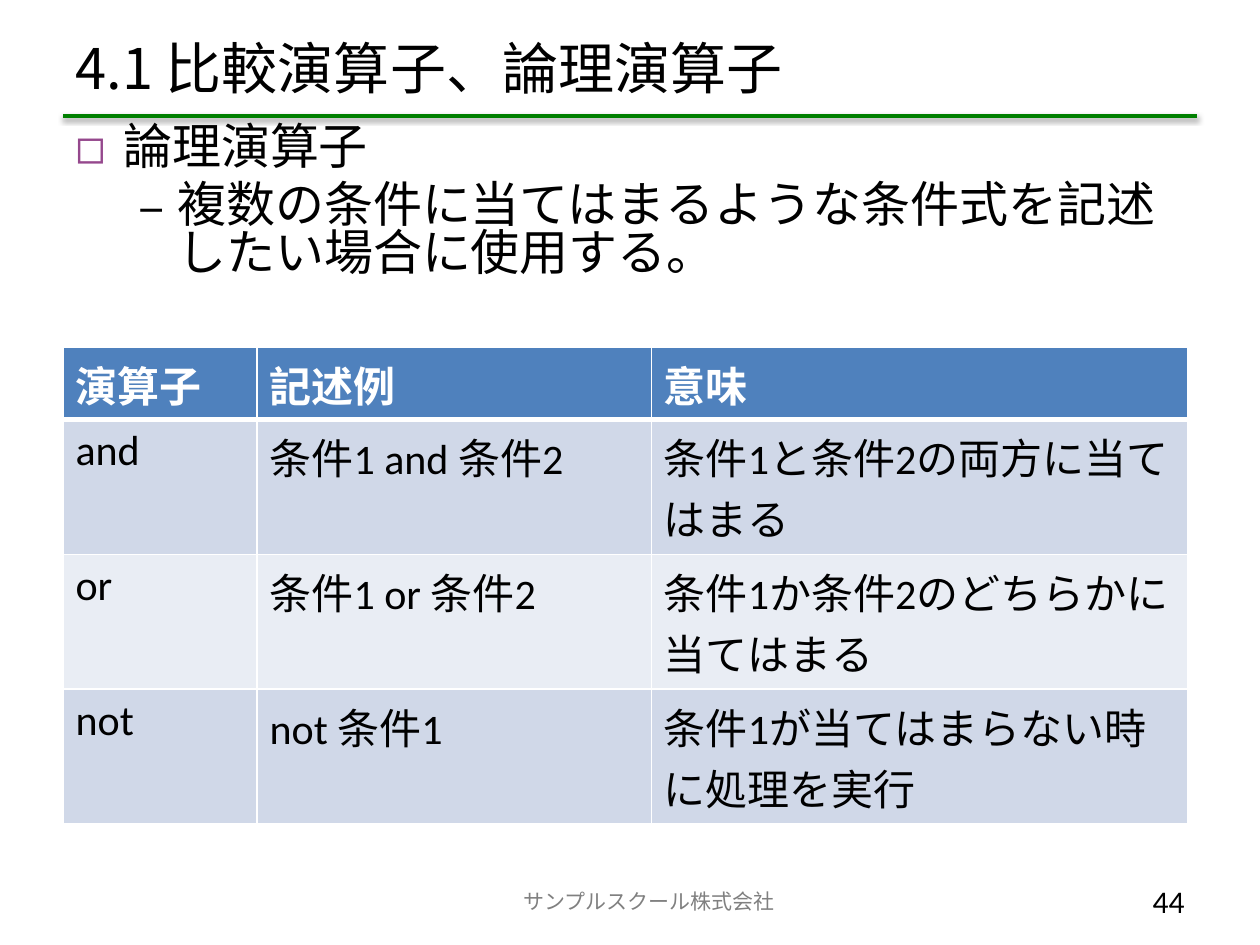
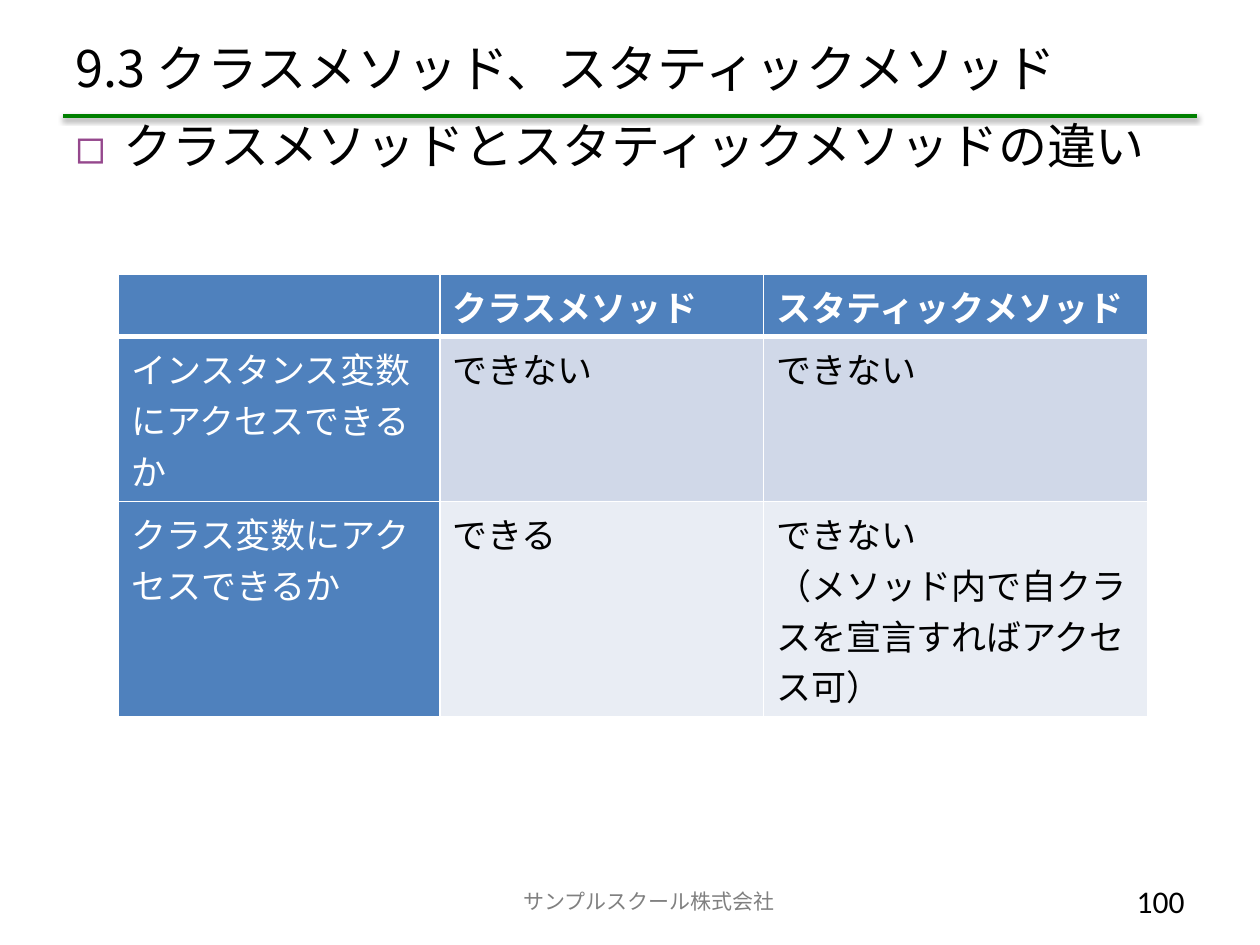
from lxml import etree
from pptx import Presentation
from pptx import util as u
from pptx.dml.color import RGBColor
from pptx.enum import shapes, text
from pptx.oxml import ns

INK = {"rule": "008000", "text": "000000", "mark": "95488D", "foot": "808080",
       "head": "4F81BD", "odd": "D0D8E8", "even": "E9EDF4", "white": "FFFFFF"}
SANS, CJK = "Calibri", "Noto Sans CJK JP"
COLS, ROWS = 100, 75
FIRM = "サンプルスクール株式会社"
LEVELS = [("◻", "mark", 3.8, 3.8), ("–", "text", 8.1, 3.1)]


def grid(*steps):
    """Turn grid steps, a hundredth of the slide width each, into lengths."""
    return [u.Inches(10 * step / COLS) for step in steps]


def node(root, tag, **attrs):
    """Append a drawing element with the given attributes."""
    item = etree.SubElement(root, ns.qn("a:" + tag))
    for key, val in attrs.items():
        item.set(key, str(val))
    return item


def paint(root, ink):
    """Append a solid fill."""
    return node(node(root, "solidFill"), "srgbClr", val=INK[ink])


def write(para, words, size, ink="text", face=CJK, bold=False):
    """Add one styled run to a paragraph."""
    run = para.add_run()
    run.text = words
    font = run.font
    font.size, font.bold, font.name = u.Pt(size), bold, face
    font.color.rgb = RGBColor.from_string(INK[ink])
    node(run._r.get_or_add_rPr(), "ea", typeface=CJK)


def frame(slide, box, anchor=text.MSO_ANCHOR.TOP):
    """Add a wrapping text box and return its text frame."""
    body = slide.shapes.add_textbox(*grid(*box)).text_frame
    body.word_wrap, body.vertical_anchor = True, anchor
    return body


def title(slide, words, size):
    """Place and fill the title placeholder."""
    shape = slide.shapes.title
    shape.left, shape.top, shape.width, shape.height = grid(5, 2, 90, 6.7)
    body = shape.text_frame
    body.auto_size = text.MSO_AUTO_SIZE.NONE
    body.vertical_anchor = text.MSO_ANCHOR.MIDDLE
    para = body.paragraphs[0]
    para.alignment = text.PP_ALIGN.LEFT
    write(para, words, size)


def rule(slide):
    """Draw the green rule with its soft shadow."""
    line = slide.shapes.add_connector(shapes.MSO_CONNECTOR.STRAIGHT, *grid(5, 9.2, 95, 9.2))
    line.line.width = u.Pt(2)
    line.line.color.rgb = RGBColor.from_string(INK["rule"])
    glow = node(node(line._element.spPr, "effectLst"), "outerShdw",
                blurRad=u.Pt(3.1), dist=u.Pt(1.6), dir=90 * 60000, rotWithShape=0)
    node(node(glow, "srgbClr", val=INK["text"]), "alpha", val=38000)


def label(slide, box, words, size, ink, align):
    """Add one line of footer text."""
    para = frame(slide, box, text.MSO_ANCHOR.MIDDLE).paragraphs[0]
    para.alignment = align
    write(para, words, size, ink, SANS)


def points(slide, *items):
    """Write bullets, each one level below the last."""
    body = frame(slide, (5, 9.5, 90, 53.8))
    for i, (words, (mark, ink, left, hang)) in enumerate(zip(items, LEVELS)):
        para = body.add_paragraph() if i else body.paragraphs[0]
        para.level, para.line_spacing, para.space_before = i, 0.82, u.Pt(5.6)
        props = para._p.get_or_add_pPr()
        props.set("marL", str(grid(left)[0]))
        props.set("indent", str(-grid(hang)[0]))
        node(node(props, "buClr"), "srgbClr", val=INK[ink])
        node(props, "buFont", typeface=CJK)
        node(props, "buChar", char=mark)
        write(para, words, 28)


def edge(cell, row):
    """Give a cell white borders, thick under the header row."""
    props = cell._tc.get_or_add_tcPr()
    wide = {"T": row == 1, "B": row == 0}
    for side in "LRTB":
        line = node(props, "ln" + side, w=u.Pt(3 if wide.get(side) else 1))
        paint(line, "white")


def table(slide, spot, cols, rows, data, size, side=False):
    """Add a banded table, with a filled first column if side is set."""
    box = (*spot, sum(cols), sum(rows))
    grille = slide.shapes.add_table(len(rows), len(cols), *grid(*box)).table
    for col, wide in zip(grille.columns, grid(*cols)):
        col.width = wide
    for r, (row, tall) in enumerate(zip(grille.rows, grid(*rows))):
        row.height = tall
        for c, (cell, words) in enumerate(zip(row.cells, data[r])):
            head = r == 0 or (side and c == 0)
            edge(cell, r)
            paint(cell._tc.tcPr, "head" if head else "odd" if r % 2 else "even")
            for i, part in enumerate(words.split("\n") if words else []):
                para = cell.text_frame.add_paragraph() if i else cell.text_frame.paragraphs[0]
                write(para, part, size, "white" if head else "text", SANS, r == 0)


def page(deck, name, size, num):
    """Add a slide with title, rule and footer."""
    slide = deck.slides.add_slide(deck.slide_layouts.get_by_name("Title Only"))
    rule(slide)
    title(slide, name, size)
    label(slide, (78.9, 69.5, 16.1, 4), str(num), 18, "text", text.PP_ALIGN.RIGHT)
    label(slide, (26.5, 69.5, 50, 4), FIRM, 12, "foot", text.PP_ALIGN.CENTER)
    return slide


def main():
    """Build both slides and save the deck."""
    deck = Presentation()
    deck.slide_width, deck.slide_height = grid(COLS, ROWS)

    logic = page(deck, "4.1 比較演算子、論理演算子", 32, 44)
    points(logic, "論理演算子", "複数の条件に当てはまるような条件式を記述したい場合に使用する。")
    table(logic, (5, 27.6), (15.4, 31.3, 42.6), (5.7, 10.7, 10.7, 10.7), [
        ("演算子", "記述例", "意味"),
        ("and", "条件1 and 条件2", "条件1と条件2の両方に当てはまる"),
        ("or", "条件1 or 条件2", "条件1か条件2のどちらかに当てはまる"),
        ("not", "not 条件1", "条件1が当てはまらない時に処理を実行"),
    ], 24)

    method = page(deck, "9.3 クラスメソッド、スタティックメソッド", 28.8, 100)
    points(method, "クラスメソッドとスタティックメソッドの違い")
    table(method, (9.4, 21.8), (25.5, 25.7, 30.5), (4.9, 13.1, 17.1), [
        ("", "クラスメソッド", "スタティックメソッド"),
        ("インスタンス変数にアクセスできるか", "できない", "できない"),
        ("クラス変数にアクセスできるか", "できる",
         "できない\n（メソッド内で自クラスを宣言すればアクセス可）"),
    ], 20, side=True)

    deck.save("out.pptx")


if __name__ == "__main__":
    main()
